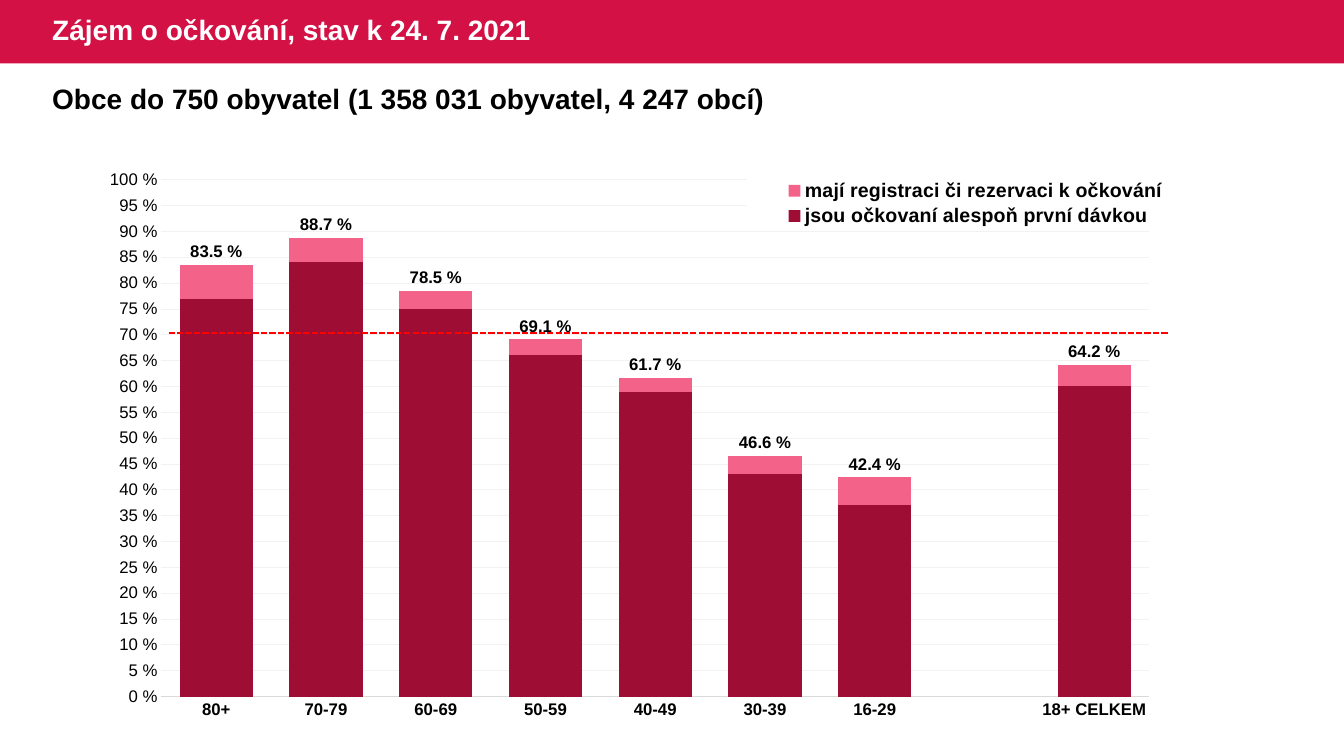
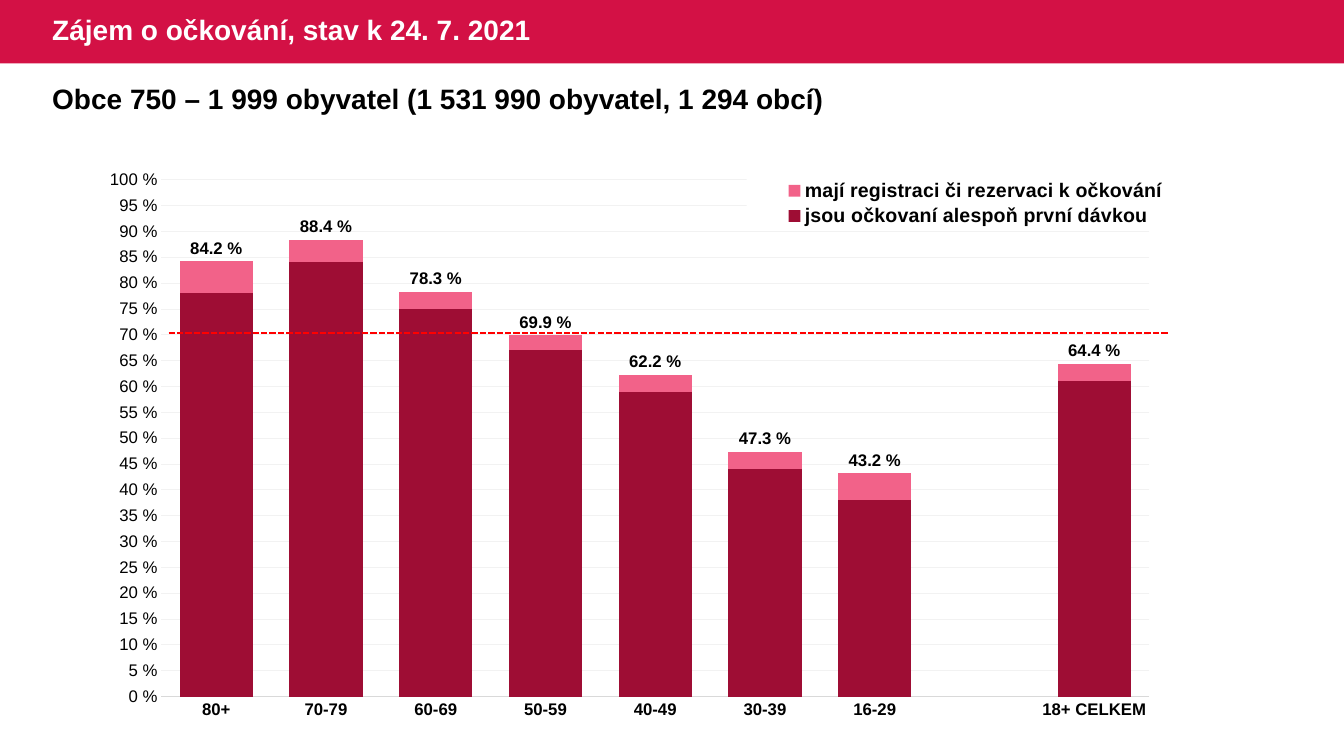
from dataclasses import dataclass

from lxml.etree import SubElement
from pptx import Presentation
from pptx.chart.chart import Chart
from pptx.chart.data import CategoryChartData
from pptx.dml.color import RGBColor
from pptx.enum.chart import XL_CHART_TYPE, XL_LABEL_POSITION, XL_LEGEND_POSITION, XL_TICK_MARK
from pptx.enum.dml import MSO_LINE
from pptx.enum.shapes import MSO_CONNECTOR, MSO_SHAPE
from pptx.enum.text import MSO_ANCHOR
from pptx.oxml import parse_xml
from pptx.oxml.ns import nsdecls, qn
from pptx.slide import Slide
from pptx.util import Pt

COLORS = {
    "band": "D31145",
    "white": "FFFFFF",
    "text": "000000",
    "registered": "F26289",
    "vaccinated": "9E0D34",
    "axis": "D9D9D9",
    "grid": "F2F2F2",
    "target": "FF0000",
}
FONT = "Arial"
SLIDE_W, SLIDE_H = 960, 540
BAND_H = 45.36
MARGIN = 30.24
TITLE = "Zájem o očkování, stav k 24. 7. 2021"
AGE_GROUPS = ["80+", "70-79", "60-69", "50-59", "40-49", "30-39", "16-29", "", "18+ CELKEM"]


@dataclass(frozen=True)
class Municipalities:
    heading: str
    registered: list[float | None]
    vaccinated: list[float | None]


SLIDES = [
    Municipalities(
        "Obce do 750 obyvatel (1 358 031 obyvatel, 4 247 obcí)",
        [83.5, 88.7, 78.5, 69.1, 61.7, 46.6, 42.4, None, 64.2],
        [77, 84, 75, 66, 59, 43, 37, None, 60],
    ),
    Municipalities(
        "Obce 750 – 1 999 obyvatel (1 531 990 obyvatel, 1 294 obcí)",
        [84.2, 88.4, 78.3, 69.9, 62.2, 47.3, 43.2, None, 64.4],
        [78, 84, 75, 67, 59, 44, 38, None, 61],
    ),
]


def rgb(name: str) -> RGBColor:
    return RGBColor.from_string(COLORS[name])


def set_font(font, size: float, bold: bool = False, color: str = "text") -> None:
    font.name = FONT
    font.size = Pt(size)
    font.bold = bold
    font.color.rgb = rgb(color)


def add_text(s: Slide, text: str, *, left: float, top: float, width: float, height: float,
             size: float = 20, bold: bool = True, color: str = "text",
             anchor: MSO_ANCHOR = MSO_ANCHOR.TOP, line_spacing: float = 1.0) -> None:
    tf = s.shapes.add_textbox(Pt(left), Pt(top), Pt(width), Pt(height)).text_frame
    tf.word_wrap = True
    tf.vertical_anchor = anchor
    p = tf.paragraphs[0]
    p.line_spacing = line_spacing
    r = p.add_run()
    r.text = text
    set_font(r.font, size, bold, color)


def add_header(s: Slide, heading: str) -> None:
    sp = s.shapes.add_shape(MSO_SHAPE.RECTANGLE, 0, 0, Pt(SLIDE_W), Pt(BAND_H))
    sp.shadow.inherit = False
    sp.fill.solid()
    sp.fill.fore_color.rgb = rgb("band")
    sp.line.fill.background()
    add_text(s, TITLE, left=MARGIN, top=0, width=424.8, height=BAND_H,
             color="white", anchor=MSO_ANCHOR.MIDDLE, line_spacing=0.9)
    add_text(s, heading, left=MARGIN, top=54.72, width=892, height=31.5)


def manual_layout(x: float, y: float, w: float, h: float, inner: bool = False):
    """Build a chart layout from fractions of the chart area."""
    target = '<c:layoutTarget val="inner"/>' if inner else ""
    return parse_xml(
        f'<c:layout {nsdecls("c")}><c:manualLayout>{target}'
        '<c:xMode val="edge"/><c:yMode val="edge"/>'
        f'<c:x val="{x}"/><c:y val="{y}"/><c:w val="{w}"/><c:h val="{h}"/>'
        '</c:manualLayout></c:layout>')


def format_axes(chart: Chart) -> None:
    for axis in (chart.category_axis, chart.value_axis):
        axis.major_tick_mark = axis.minor_tick_mark = XL_TICK_MARK.NONE
        set_font(axis.tick_labels.font, 12, bold=axis is not chart.value_axis)
    cat_axis, val_axis = chart.category_axis, chart.value_axis
    set_font(cat_axis.tick_labels.font, 12, bold=True)
    cat_axis.format.line.color.rgb = rgb("axis")
    cat_axis.format.line.width = Pt(0.75)
    set_font(val_axis.tick_labels.font, 12)
    val_axis.minimum_scale, val_axis.maximum_scale, val_axis.major_unit = 0, 100, 5
    val_axis.tick_labels.number_format = '0" %"'
    val_axis.tick_labels.number_format_is_linked = False
    val_axis.format.line.fill.background()
    grid = val_axis.major_gridlines.format.line
    grid.color.rgb = rgb("grid")
    grid.width = Pt(0.5)


def format_legend(chart: Chart) -> None:
    """Place the legend over the plot on a white ground."""
    chart.has_legend = True
    legend = chart.legend
    legend.position = XL_LEGEND_POSITION.TOP
    legend.include_in_layout = True
    set_font(legend.font, 14, bold=True)
    el = legend._element
    for old in el.findall(qn("c:layout")):
        el.remove(old)
    el.find(qn("c:legendPos")).addnext(manual_layout(0.571, 0.027, 0.412, 0.092))
    el.find(qn("c:txPr")).addprevious(parse_xml(
        f'<c:spPr {nsdecls("c", "a")}><a:solidFill><a:srgbClr val="{COLORS["white"]}"/>'
        '</a:solidFill><a:ln><a:noFill/></a:ln></c:spPr>'))


def add_uptake_chart(s: Slide, data: Municipalities) -> None:
    cd = CategoryChartData()
    cd.categories = AGE_GROUPS
    cd.add_series("mají registraci či rezervaci k očkování", data.registered)
    cd.add_series("jsou očkovaní alespoň první dávkou", data.vaccinated)
    chart = s.shapes.add_chart(XL_CHART_TYPE.COLUMN_CLUSTERED, Pt(78.5), Pt(115.2),
                               Pt(795.6), Pt(412.56), cd).chart
    chart.has_title = False
    set_font(chart.font, 10)

    plot = chart.plots[0]
    plot.gap_width, plot.overlap = 50, 100
    plot.vary_by_categories = False
    for series, color in zip(plot.series, ("registered", "vaccinated")):
        series.format.fill.solid()
        series.format.fill.fore_color.rgb = rgb(color)
        series.invert_if_negative = False

    labels = plot.series[0].data_labels
    labels.show_value = True
    labels.number_format = '0.0" %"'
    labels.number_format_is_linked = False
    labels.position = XL_LABEL_POSITION.OUTSIDE_END
    set_font(labels.font, 12, bold=True)

    format_axes(chart)
    format_legend(chart)
    plot_area = chart._chartSpace.chart.plotArea
    for old in plot_area.findall(qn("c:layout")):
        plot_area.remove(old)
    plot_area.insert(0, manual_layout(0.045, 0.032, 0.888, 0.895, inner=True))


def add_target_line(s: Slide) -> None:
    """Mark the 70 % level across the chart."""
    y = Pt(237.6)
    line = s.shapes.add_connector(MSO_CONNECTOR.STRAIGHT, Pt(120.4), y, Pt(834.4), y)
    line.line.color.rgb = rgb("target")
    line.line.width = Pt(1.5)
    line.line.dash_style = MSO_LINE.SQUARE_DOT
    SubElement(line._element.spPr, qn("a:effectLst"))


def main() -> None:
    prs = Presentation()
    prs.slide_width, prs.slide_height = Pt(SLIDE_W), Pt(SLIDE_H)
    for data in SLIDES:
        s = prs.slides.add_slide(prs.slide_layouts[6])
        add_header(s, data.heading)
        add_uptake_chart(s, data)
        add_target_line(s)
    prs.save("out.pptx")


if __name__ == "__main__":
    main()
